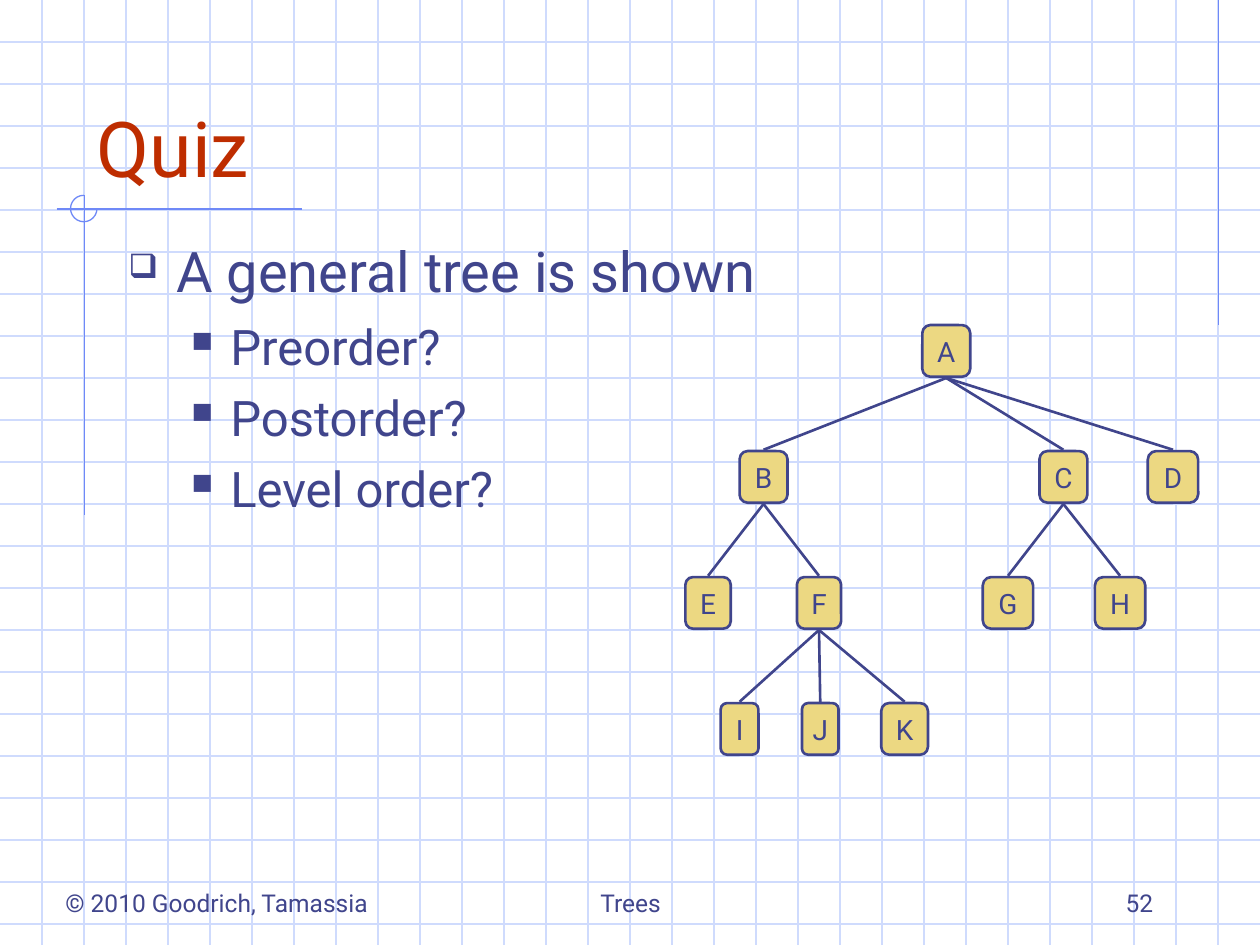
"""Build a quiz slide with a general tree on a graph-paper background."""
from typing import NamedTuple

import pptx
import pptx.dml.color
import pptx.enum.shapes
import pptx.enum.text
import pptx.oxml.ns
import pptx.util
from lxml import etree

Inches = pptx.util.Inches
Pt = pptx.util.Pt
RGBColor = pptx.dml.color.RGBColor
SHAPE = pptx.enum.shapes.MSO_SHAPE
ALIGN = pptx.enum.text.PP_ALIGN
ANCHOR = pptx.enum.text.MSO_ANCHOR
qn = pptx.oxml.ns.qn

INDIGO = RGBColor(0x40, 0x45, 0x8C)
RED = RGBColor(0xBE, 0x2D, 0x00)
GRID = RGBColor(0xCF, 0xDB, 0xFD)
BLUE = RGBColor(0x6F, 0x89, 0xF7)
SAND = RGBColor(0xEC, 0xD8, 0x82)
FONT = "Roboto"
WIDTH, HEIGHT = 10, 7.5
NODE_TOP, NODE_HEIGHT, LEVEL_GAP, EDGE_GAP = 2.58, 0.41, 1, 0.01


class Label(NamedTuple):
    text: str
    left: float
    top: float
    width: float
    height: float
    size: int
    color: RGBColor
    align: ALIGN


class Bullet(NamedTuple):
    text: str
    char: str
    level: int
    size: int
    margin: float
    indent: float
    before: int


class Node(NamedTuple):
    name: str
    parent: str
    level: int
    center: float
    width: float

    @property
    def top(self) -> float:
        return NODE_TOP + self.level * LEVEL_GAP


LABELS = [
    Label("Quiz", 0.67, 0.33, 8.5, 1.25, 44, RED, ALIGN.LEFT),
    Label("© 2010 Goodrich, Tamassia", 0.42, 6.83, 2.75, 0.5, 14, INDIGO, ALIGN.LEFT),
    Label("Trees", 3.42, 6.83, 3.17, 0.5, 14, INDIGO, ALIGN.CENTER),
    Label("52", 7.17, 6.83, 2.08, 0.5, 14, INDIGO, ALIGN.RIGHT),
]
BULLETS = [Bullet("A general tree is shown", "❑", 0, 32, 0.38, -0.38, 0)] + [
    Bullet(text, "■", 1, 28, 0.81, -0.31, 7)
    for text in ("Preorder?", "Postorder?", "Level order?")
]
NODES = [
    Node("A", "", 0, 7.51, 0.38),
    Node("B", "A", 1, 6.06, 0.38),
    Node("C", "A", 1, 8.44, 0.38),
    Node("D", "A", 1, 9.31, 0.4),
    Node("E", "B", 2, 5.62, 0.36),
    Node("F", "B", 2, 6.5, 0.35),
    Node("G", "C", 2, 8, 0.4),
    Node("H", "C", 2, 8.89, 0.4),
    Node("I", "F", 3, 5.87, 0.3),
    Node("J", "F", 3, 6.51, 0.29),
    Node("K", "F", 3, 7.18, 0.37),
]


def style_runs(p, size: int, color: RGBColor) -> None:
    for r in p.runs:
        r.font.name = FONT
        r.font.size = Pt(size)
        r.font.color.rgb = color


def add_line(slide, x1: float, y1: float, x2: float, y2: float,
             color: RGBColor, weight: float = 0.75) -> None:
    ln = slide.shapes.add_connector(
        pptx.enum.shapes.MSO_CONNECTOR.STRAIGHT,
        Inches(x1), Inches(y1), Inches(x2), Inches(y2))
    ln.line.color.rgb = color
    ln.line.width = Pt(weight)
    etree.SubElement(ln._element.spPr, qn("a:effectLst"))


def add_background(slide) -> None:
    for i in range(1, 23):
        add_line(slide, 0, i / 3, WIDTH, i / 3, GRID)
    for i in range(1, 30):
        add_line(slide, i / 3, 0, i / 3, HEIGHT, GRID)
    add_line(slide, 9.67, 0, 9.67, 2.58, BLUE)
    add_line(slide, 0.45, 1.66, 2.4, 1.66, BLUE)
    add_line(slide, 0.67, 1.55, 0.67, 4.09, BLUE)
    arc = slide.shapes.add_shape(
        SHAPE.ARC, Inches(0.56), Inches(1.55), Inches(0.21), Inches(0.21))
    arc.adjustments[0] = 0
    arc.adjustments[1] = 162
    arc.shadow.inherit = False
    arc.fill.background()
    arc.line.color.rgb = BLUE
    arc.line.width = Pt(0.75)


def add_label(slide, label: Label) -> None:
    tf = slide.shapes.add_textbox(
        Inches(label.left), Inches(label.top),
        Inches(label.width), Inches(label.height)).text_frame
    tf.word_wrap = True
    tf.vertical_anchor = ANCHOR.BOTTOM
    p = tf.paragraphs[0]
    p.text = label.text
    p.alignment = label.align
    style_runs(p, label.size, label.color)


def add_bullets(slide, bullets: list[Bullet]) -> None:
    tf = slide.shapes.add_textbox(
        Inches(0.92), Inches(1.83), Inches(8.5), Inches(4.75)).text_frame
    tf.word_wrap = True
    for i, bullet in enumerate(bullets):
        p = tf.add_paragraph() if i else tf.paragraphs[0]
        p.text = bullet.text
        p.level = bullet.level
        p.space_before = Pt(bullet.before)
        pPr = p._p.get_or_add_pPr()
        pPr.set("marL", str(Inches(bullet.margin)))
        pPr.set("indent", str(Inches(bullet.indent)))
        clr = etree.SubElement(pPr, qn("a:buClr"))
        etree.SubElement(clr, qn("a:srgbClr"), val=str(INDIGO))
        etree.SubElement(pPr, qn("a:buSzPct"), val="60000")
        etree.SubElement(pPr, qn("a:buChar"), char=bullet.char)
        style_runs(p, bullet.size, INDIGO)


def add_node(slide, node: Node) -> None:
    sp = slide.shapes.add_shape(
        SHAPE.ROUNDED_RECTANGLE, Inches(node.center - node.width / 2),
        Inches(node.top), Inches(node.width), Inches(NODE_HEIGHT))
    sp.shadow.inherit = False
    sp.fill.solid()
    sp.fill.fore_color.rgb = SAND
    sp.line.color.rgb = INDIGO
    sp.line.width = Pt(1.5)
    tf = sp.text_frame
    tf.text = node.name
    tf.word_wrap = False
    tf.vertical_anchor = ANCHOR.MIDDLE
    p = tf.paragraphs[0]
    p.alignment = ALIGN.CENTER
    style_runs(p, 16, INDIGO)


def add_tree(slide, nodes: list[Node]) -> None:
    by_name = {node.name: node for node in nodes}
    for node in nodes:
        add_node(slide, node)
    for node in nodes:
        if node.parent:
            parent = by_name[node.parent]
            add_line(slide, parent.center, parent.top + NODE_HEIGHT + EDGE_GAP,
                     node.center, node.top - EDGE_GAP, INDIGO, 1.5)


def main() -> None:
    prs = pptx.Presentation()
    prs.slide_width = Inches(WIDTH)
    prs.slide_height = Inches(HEIGHT)
    slide = prs.slides.add_slide(prs.slide_layouts[6])
    add_background(slide)
    for label in LABELS:
        add_label(slide, label)
    add_bullets(slide, BULLETS)
    add_tree(slide, NODES)
    prs.save("out.pptx")


if __name__ == "__main__":
    main()
